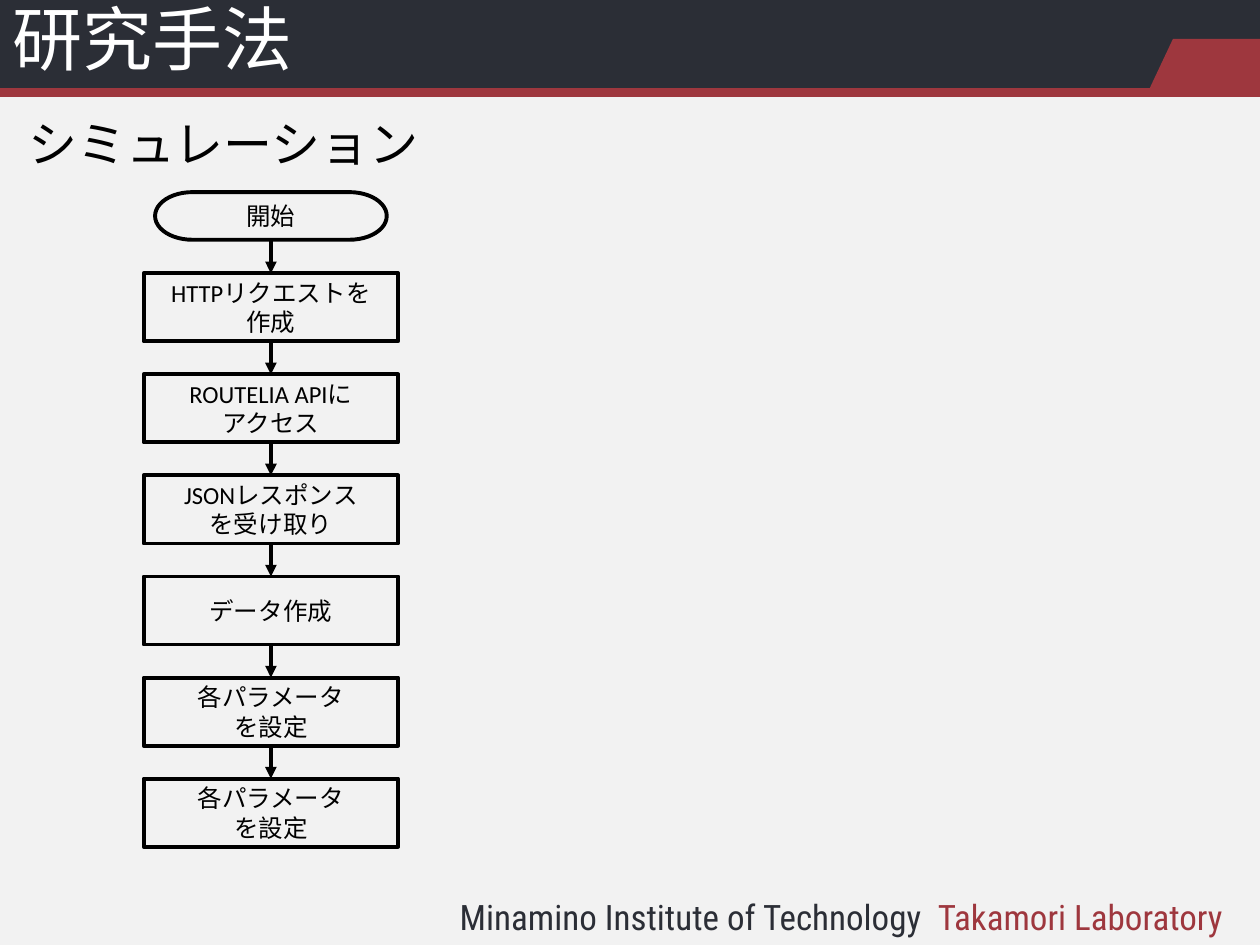
from dataclasses import dataclass
from typing import NamedTuple

from lxml.etree import SubElement
from pptx import Presentation
from pptx.dml.color import RGBColor as Rgb
from pptx.enum.shapes import MSO_CONNECTOR as Link, MSO_SHAPE as Kind
from pptx.enum.text import MSO_ANCHOR as Anchor, PP_ALIGN as Align
from pptx.oxml.ns import qn
from pptx.util import Pt


@dataclass(frozen=True)
class Theme:
    """Colours, fonts and type sizes."""
    back: str = "F2F2F2"
    dark: str = "2B2E36"
    red: str = "9E373E"
    ink: str = "000000"
    white: str = "FFFFFF"
    body: str = "Calibri"
    head: str = "Noto Sans CJK JP"
    foot: str = "Roboto Condensed"
    title: int = 40
    topic: int = 28
    note: int = 20
    step: int = 14


class Box(NamedTuple):
    """Place and size in points."""
    left: float
    top: float
    width: float
    height: float


class Step(NamedTuple):
    """One node of the flow chart."""
    kind: Kind
    box: Box
    text: str


THEME = Theme()
MID = 154.8
WIDE, HIGH = 145.4, 38.9
FIRST, PITCH = 156.2, 57.75
LABELS = [
    "HTTPリクエストを\n作成",
    "ROUTELIA APIに\nアクセス",
    "JSONレスポンス\nを受け取り",
    "データ作成",
    "各パラメータ\nを設定",
    "各パラメータ\nを設定",
]


def style(run, font: str, size: int, color: str) -> None:
    """Set the face, size and colour of a run."""
    run.font.name, run.font.size = font, Pt(size)
    run.font.color.rgb = Rgb.from_string(color)
    SubElement(run.font._element, qn("a:ea"), typeface=font)


def write(shape, text: str, font: str, size: int, color: str,
          align=Align.LEFT, anchor=Anchor.MIDDLE):
    """Fill a shape with styled text and return its frame."""
    frame = shape.text_frame
    frame.word_wrap, frame.vertical_anchor = True, anchor
    frame.text = text
    for para in frame.paragraphs:
        para.alignment = align
        for run in para.runs:
            style(run, font, size, color)
    return frame


def label(slide, box: Box):
    """Add an empty text box."""
    return slide.shapes.add_textbox(*map(Pt, box))


def block(slide, kind: Kind, box: Box, color: str):
    """Add a solid shape without outline."""
    shape = slide.shapes.add_shape(kind, *map(Pt, box))
    shape.shadow.inherit = False
    shape.fill.solid()
    shape.fill.fore_color.rgb = Rgb.from_string(color)
    shape.line.fill.background()
    return shape


def rule(slide, start: tuple, end: tuple, color: str, width: float,
         arrow: bool = False) -> None:
    """Add a straight line, with an arrowhead at its end if asked."""
    line = slide.shapes.add_connector(
        Link.STRAIGHT, *map(Pt, start), *map(Pt, end))
    line.line.color.rgb = Rgb.from_string(color)
    line.line.width = Pt(width)
    props = line.element.spPr
    if arrow:
        SubElement(props.find(qn("a:ln")), qn("a:tailEnd"), type="triangle")
    SubElement(props, qn("a:effectLst"))


def node(slide, step: Step) -> None:
    """Draw one outlined node of the flow chart."""
    shape = block(slide, step.kind, step.box, THEME.back)
    shape.fill.background()
    shape.line.color.rgb = Rgb.from_string(THEME.ink)
    shape.line.width = Pt(2.25)
    write(shape, step.text, THEME.body, THEME.step, THEME.ink, Align.CENTER)


def frame(slide) -> None:
    """Draw the footer and the header band."""
    foot = write(label(slide, Box(255.6, 508.3, 464.4, 31.7)),
                 "Minamino Institute of Technology  ", THEME.foot,
                 THEME.note, THEME.dark, anchor=Anchor.TOP)
    run = foot.paragraphs[0].add_run()
    run.text = "Takamori Laboratory"
    style(run, THEME.foot, THEME.note, THEME.red)
    block(slide, Kind.RECTANGLE, Box(0, 0, 720, 51), THEME.dark)
    rule(slide, (0, 52.8), (720, 52.8), THEME.red, 5)
    block(slide, Kind.RECTANGLE, Box(670.3, 22.3, 49.7, 30), THEME.red)
    slope = block(slide, Kind.RIGHT_TRIANGLE, Box(656.8, 22.3, 13.5, 28.6),
                  THEME.red)
    slope.element.spPr.find(qn("a:xfrm")).set("flipH", "1")


def heads(slide) -> None:
    """Write the title and the topic."""
    title = write(label(slide, Box(0, -0.7, 649.4, 50.4)), "研究手法",
                  THEME.head, THEME.title, THEME.white)
    title.paragraphs[0].line_spacing = 0.9
    write(label(slide, Box(-2.9, 61.2, 261.4, 41)), "シミュレーション",
          THEME.head, THEME.topic, THEME.ink, Align.CENTER)


def flow(slide) -> None:
    """Draw the flow chart and the arrows between its nodes."""
    steps = [Step(Kind.FLOWCHART_TERMINATOR,
                  Box(MID - 66.2, 109.8, 132.4, 27.2), "開始")]
    steps += [Step(Kind.FLOWCHART_PROCESS,
                   Box(MID - WIDE / 2, FIRST + i * PITCH, WIDE, HIGH), text)
              for i, text in enumerate(LABELS)]
    for step in steps:
        node(slide, step)
    for prev, here in zip(steps, steps[1:]):
        rule(slide, (MID, prev.box.top + prev.box.height),
             (MID, here.box.top), THEME.ink, 2.25, arrow=True)


def main() -> None:
    """Build and save the slide."""
    deck = Presentation()
    deck.slide_width, deck.slide_height = Pt(720), Pt(540)
    slide = deck.slides.add_slide(deck.slide_layouts[6])
    slide.background.fill.solid()
    slide.background.fill.fore_color.rgb = Rgb.from_string(THEME.back)
    frame(slide)
    heads(slide)
    flow(slide)
    deck.save("out.pptx")


main()
